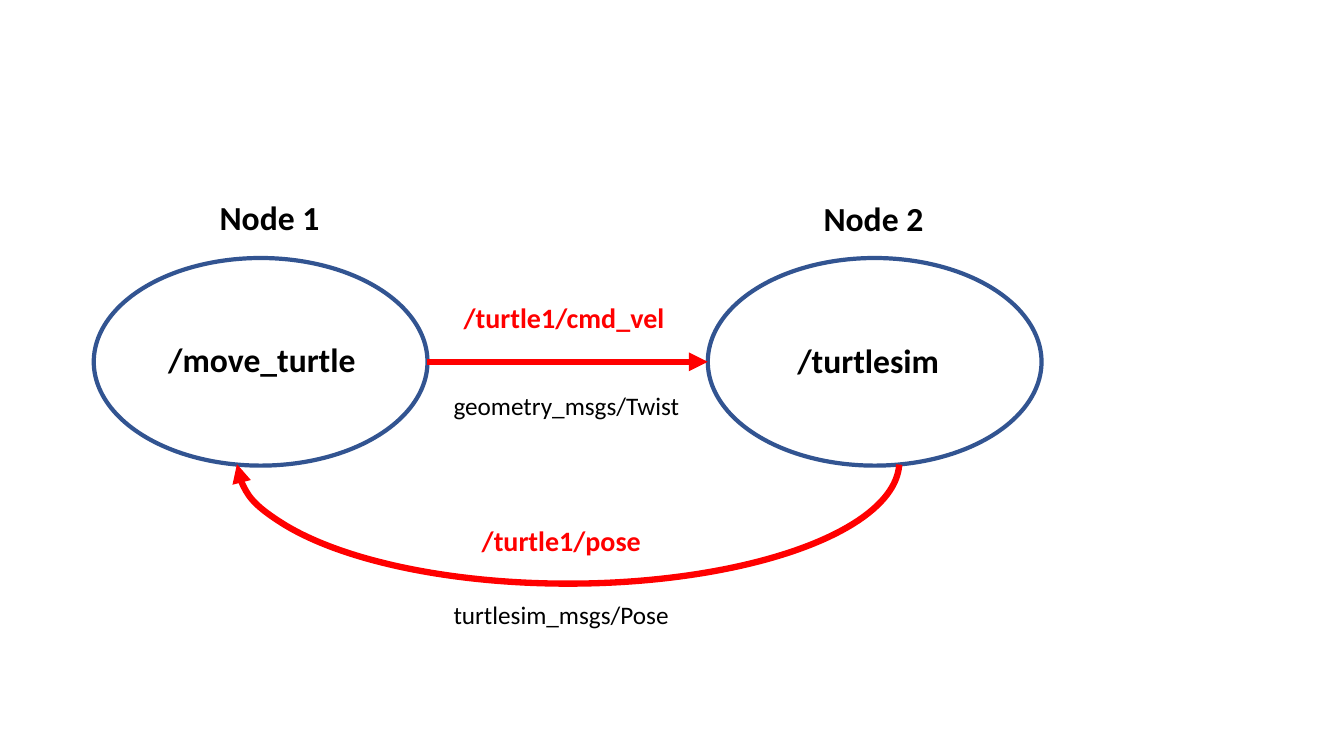
from lxml import etree
from pptx import Presentation
from pptx.dml.color import RGBColor
from pptx.enum.shapes import MSO_CONNECTOR, MSO_SHAPE
from pptx.enum.text import MSO_AUTO_SIZE
from pptx.oxml.ns import qn
from pptx.util import Pt

LINE = MSO_CONNECTOR.STRAIGHT
OVAL = MSO_SHAPE.OVAL
ARC = MSO_SHAPE.ARC
GROW = MSO_AUTO_SIZE.SHAPE_TO_FIT_TEXT
PX = 9144  # 100 px to the inch

THEME = {
    "font": "Calibri",
    "ring": RGBColor(0x32, 0x54, 0x91),
    "ink": RGBColor(0, 0, 0),
    "flow": RGBColor(0xFF, 0, 0),
    "ring_pt": Pt(3),
    "flow_pt": Pt(4.5),
    # size, bold, colour
    "node": (Pt(24), True, "ink"),
    "topic": (Pt(20), True, "flow"),
    "type": (Pt(18), False, "ink"),
}


def outline(shape):
    """Add an unfilled, shadowless preset shape from its kind and px box."""
    kind, *box = shape
    item = slide.shapes.add_shape(kind, *(n * PX for n in box))
    item.shadow.inherit = False
    item.fill.background()
    return item


def arrow(item):
    """Give a line or arc the red stroke and its triangle head."""
    item.line.color.rgb = THEME["flow"]
    item.line.width = THEME["flow_pt"]
    props = item.element.spPr
    etree.SubElement(props.find(qn("a:ln")), qn("a:tailEnd"), type="triangle")


deck = Presentation()
deck.slide_width, deck.slide_height = 1333 * PX, 750 * PX
slide = deck.slides.add_slide(deck.slide_layouts[6])

# Nodes
for left in (93, 702):
    node = outline((OVAL, left, 256, 331, 206))
    node.line.color.rgb = THEME["ring"]
    node.line.width = THEME["ring_pt"]

# Command from node 1 to node 2
command = slide.shapes.add_connector(LINE, 424 * PX, 359 * PX, 702 * PX, 359 * PX)
arrow(command)
etree.SubElement(command.element.spPr, qn("a:effectLst"))

# Labels
labels = [
    ("/move_turtle", "node", 157, 331, 208, 50),
    ("/turtlesim", "node", 781, 332, 163, 50),
    ("/turtle1/cmd_vel", "topic", 450, 293, 221, 44),
    ("geometry_msgs/Twist", "type", 440, 382, 246, 40),
    ("/turtle1/pose", "topic", 468, 514, 180, 44),
    ("turtlesim_msgs/Pose", "type", 440, 590, 236, 40),
    ("Node 1", "node", 208, 190, 120, 50),
    ("Node 2", "node", 807, 191, 120, 50),
]
for text, role, *box in labels:
    frame = slide.shapes.add_textbox(*(n * PX for n in box)).text_frame
    frame.word_wrap = False
    frame.auto_size = GROW
    frame.text = text
    font = frame.paragraphs[0].font
    font.name = THEME["font"]
    font.size, font.bold, tone = THEME[role]
    font.color.rgb = THEME[tone]

# Pose back from node 2 to node 1
pose = outline((ARC, 235, 337, 657, 242))
pose.adjustments[0] = 0.3
pose.adjustments[1] = 107.75
arrow(pose)

deck.save("out.pptx")
